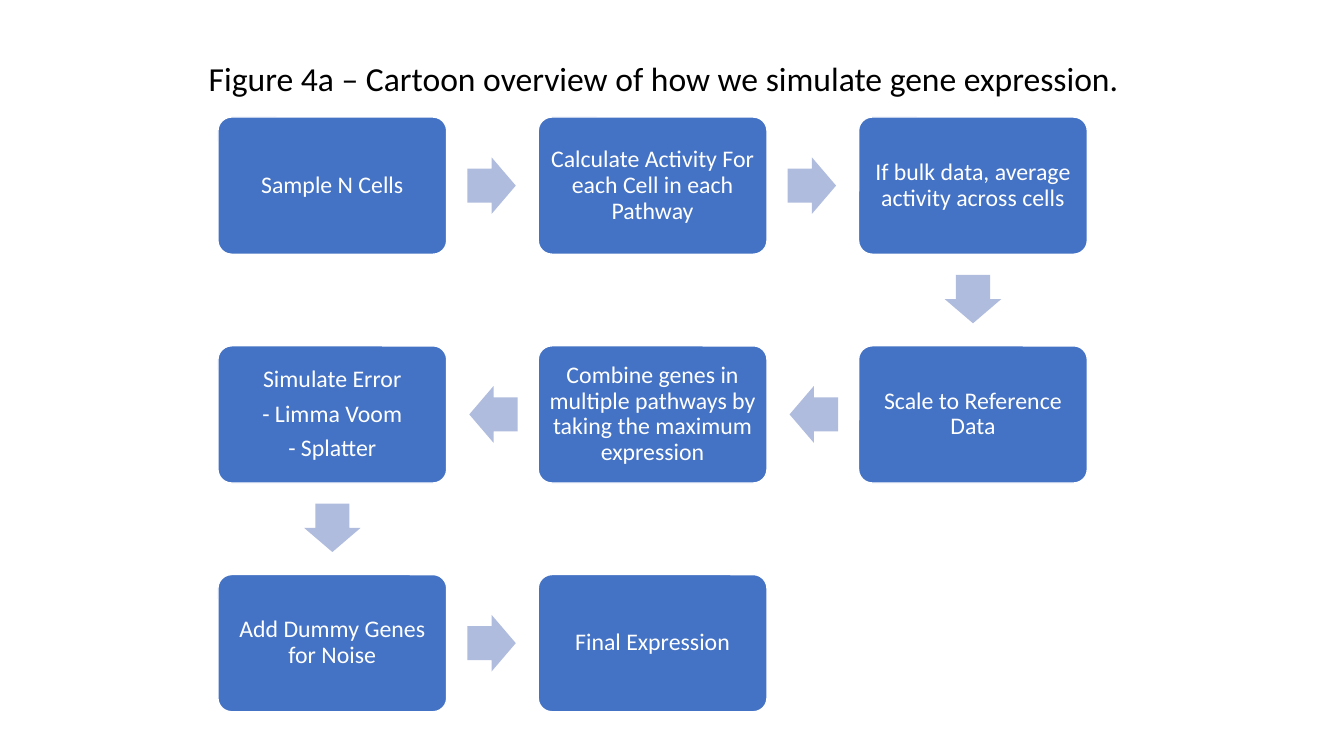
from pptx import Presentation
from pptx.dml.color import RGBColor
from pptx.enum.shapes import MSO_SHAPE
from pptx.enum.text import MSO_ANCHOR, PP_ALIGN
from pptx.util import Pt

ROUNDED = MSO_SHAPE.ROUNDED_RECTANGLE
ARROW = MSO_SHAPE.RIGHT_ARROW
MIDDLE = MSO_ANCHOR.MIDDLE
CENTER = PP_ALIGN.CENTER

BLACK = RGBColor(0x00, 0x00, 0x00)
WHITE = RGBColor(0xFF, 0xFF, 0xFF)
STEP_BLUE = RGBColor(0x44, 0x72, 0xC4)
ARROW_BLUE = RGBColor(0xB0, 0xBC, 0xDE)

TITLE = "Figure 4a – Cartoon overview of how we simulate gene expression."
STEPS = [
    ["Sample N Cells"],
    ["Calculate Activity For each Cell in each Pathway"],
    ["If bulk data, average activity across cells"],
    ["Scale to Reference Data"],
    ["Combine genes in multiple pathways by taking the maximum expression"],
    ["Simulate Error", "- Limma Voom", "- Splatter"],
    ["Add Dummy Genes for Noise"],
    ["Final Expression"],
]
COLUMNS = 3
STEP_WIDTH, STEP_HEIGHT = 163.4, 98
STEP_GAP = 65.4
ARROW_LENGTH, ARROW_BREADTH = 34.6, 40.5
ARROW_OFFSET = 32  # from the edge of a step to the centre of its arrow
STEP_FRAME = {
    "word_wrap": True,
    "vertical_anchor": MIDDLE,
    "margin_left": Pt(5),
    "margin_right": Pt(5),
    "margin_top": Pt(5),
    "margin_bottom": Pt(5),
}


def write_paragraphs(frame, lines, size, color):
    frame.text = "\n".join(lines)
    for paragraph in frame.paragraphs:
        paragraph.alignment = CENTER
        paragraph.line_spacing = 0.9
        font = paragraph.runs[0].font
        for name, value in {"name": "Calibri", "size": Pt(size)}.items():
            setattr(font, name, value)
        font.color.rgb = color
    for paragraph in frame.paragraphs[:-1]:
        paragraph.space_after = Pt(6)


def add_title(slide, left, top, width, height):
    title = slide.shapes.add_textbox(Pt(left), Pt(top), Pt(width), Pt(height))
    title.text_frame.word_wrap = True
    write_paragraphs(title.text_frame, [TITLE], 24, BLACK)


def add_filled(slide, preset, center_x, center_y, width, height, color):
    shape = slide.shapes.add_shape(
        preset, Pt(center_x - width / 2), Pt(center_y - height / 2),
        Pt(width), Pt(height))
    shape.shadow.inherit = False
    shape.fill.solid()
    shape.fill.fore_color.rgb = color
    return shape


def add_step(slide, center_x, center_y, lines):
    step = add_filled(slide, ROUNDED, center_x, center_y,
                      STEP_WIDTH, STEP_HEIGHT, STEP_BLUE)
    step.adjustments[0] = 0.1
    step.line.color.rgb = WHITE
    step.line.width = Pt(1)
    for name, value in STEP_FRAME.items():
        setattr(step.text_frame, name, value)
    write_paragraphs(step.text_frame, lines, 17, WHITE)


def add_step_arrow(slide, center_x, center_y, rotation):
    arrow = add_filled(slide, ARROW, center_x, center_y,
                       ARROW_LENGTH, ARROW_BREADTH, ARROW_BLUE)
    arrow.adjustments[0] = 0.6
    arrow.line.fill.background()
    arrow.rotation = rotation


def add_snake_flow(slide, left, top):
    """Lay the steps out in rows that run right and left in turn."""
    for index, lines in enumerate(STEPS):
        row, place = divmod(index, COLUMNS)
        runs_right = row % 2 == 0
        column = place if runs_right else COLUMNS - 1 - place
        center_x = left + STEP_WIDTH / 2 + column * (STEP_WIDTH + STEP_GAP)
        center_y = top + STEP_HEIGHT / 2 + row * (STEP_HEIGHT + STEP_GAP)
        add_step(slide, center_x, center_y, lines)
        if index == len(STEPS) - 1:
            continue
        if place == COLUMNS - 1:
            arrow_y = center_y + STEP_HEIGHT / 2 + ARROW_OFFSET
            add_step_arrow(slide, center_x, arrow_y, 90)
        else:
            reach = STEP_WIDTH / 2 + ARROW_OFFSET
            arrow_x = center_x + (reach if runs_right else -reach)
            add_step_arrow(slide, arrow_x, center_y, 0 if runs_right else 180)


def main():
    presentation = Presentation()
    presentation.slide_width = Pt(960)
    presentation.slide_height = Pt(540)
    slide = presentation.slides.add_slide(presentation.slide_layouts[6])
    add_title(slide, 102, 41, 744, 73)
    add_snake_flow(slide, 155.7, 83.6)
    presentation.save("out.pptx")


if __name__ == "__main__":
    main()
